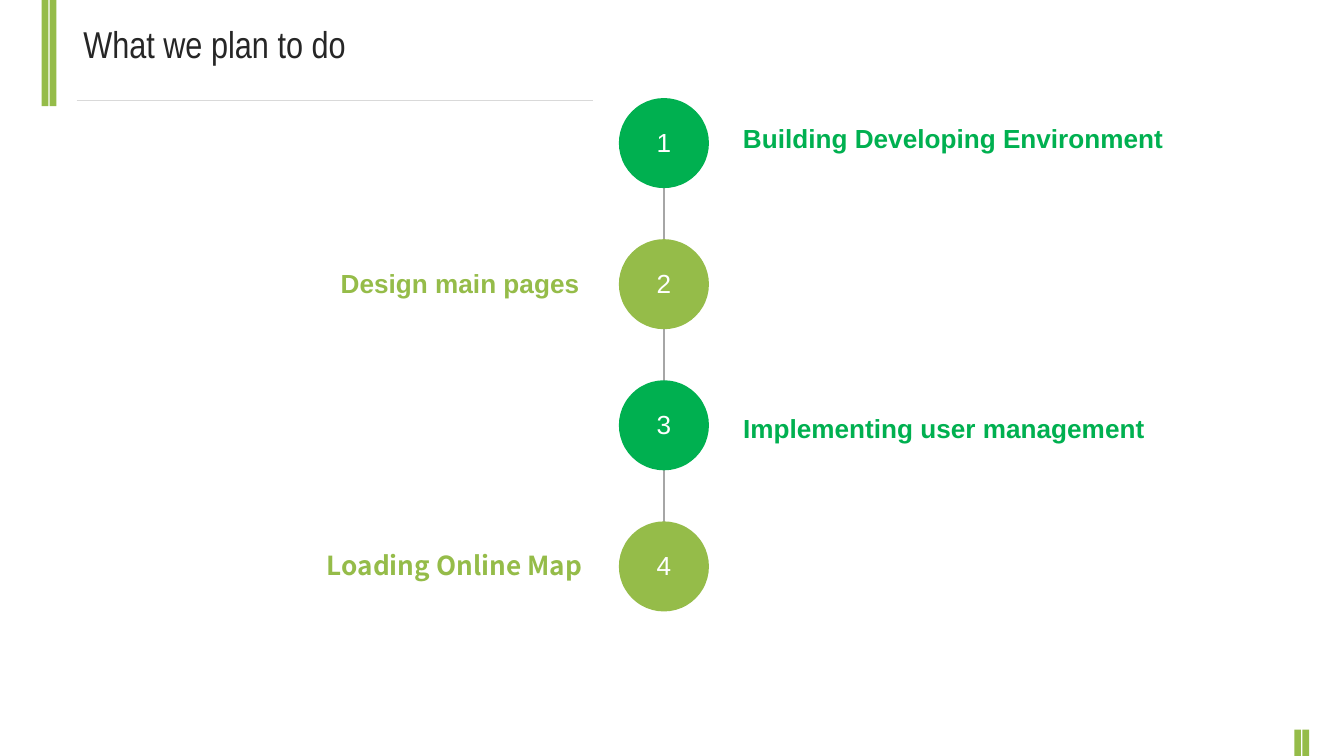
from dataclasses import dataclass

from lxml import etree
from pptx import Presentation
from pptx import util as u
from pptx.dml.color import RGBColor
from pptx.enum import shapes, text
from pptx.oxml import ns

GREEN, LIME, WHITE = "00B050", "95BC49", "FFFFFF"
AXIS, CIRCLE_SIZE = 4.94, 0.67
FIRST_TOP, STEP_GAP = 0.73, 1.05
NUMBER_WIDTH, NUMBER_OFFSET, LABEL_HEIGHT = 0.31, 0.16, 0.34


@dataclass
class Step:
    label: str
    color: str
    left: float
    top: float
    width: float = 3.19
    align: text.PP_ALIGN = text.PP_ALIGN.LEFT
    font: str = "Arial"


STEPS = [
    Step("Building Developing Environment", GREEN, 5.43, 0.86, width=3.93),
    Step("Design main pages", LIME, 1.22, 1.94, align=text.PP_ALIGN.RIGHT),
    Step("Implementing user management", GREEN, 5.43, 3.02),
    Step("Loading Online Map", LIME, 1.24, 4.04, align=text.PP_ALIGN.RIGHT,
         font="Noto Sans CJK SC"),
]


def rgb(color: str) -> RGBColor:
    return RGBColor.from_string(color)


def write(box, words: str, *, color: str, size: float = 14, font: str = "Arial",
          bold: bool = False, align=text.PP_ALIGN.LEFT, wrap: bool = True) -> None:
    frame = box.text_frame
    frame.word_wrap = wrap
    frame.auto_size = text.MSO_AUTO_SIZE.SHAPE_TO_FIT_TEXT
    frame.vertical_anchor = text.MSO_ANCHOR.TOP
    para = frame.paragraphs[0]
    para.alignment = align
    span = para.add_run()
    span.text = words
    span.font.name, span.font.size, span.font.bold = font, u.Pt(size), bold
    span.font.color.rgb = rgb(color)


def add_text(page, words: str, left: float, top: float, width: float,
             **style) -> None:
    box = page.shapes.add_textbox(u.Inches(left), u.Inches(top),
                                  u.Inches(width), u.Inches(LABEL_HEIGHT))
    write(box, words, **style)


def add_solid(page, kind, left: float, top: float, width: float, height: float,
              color: str) -> None:
    shape = page.shapes.add_shape(kind, u.Inches(left), u.Inches(top),
                                  u.Inches(width), u.Inches(height))
    shape.shadow.inherit = False
    shape.fill.solid()
    shape.fill.fore_color.rgb = rgb(color)
    shape.line.fill.background()


def add_line(page, x1: float, y1: float, x2: float, y2: float, color: str) -> None:
    line = page.shapes.add_connector(shapes.MSO_CONNECTOR.STRAIGHT, u.Inches(x1),
                                     u.Inches(y1), u.Inches(x2), u.Inches(y2))
    line.line.color.rgb = rgb(color)
    line.line.width = u.Pt(0.75)
    etree.SubElement(line._element.spPr, ns.qn("a:effectLst"))


def add_marker(page, index: int, color: str) -> None:
    top = FIRST_TOP + index * STEP_GAP
    add_solid(page, shapes.MSO_SHAPE.OVAL, AXIS - CIRCLE_SIZE / 2, top,
              CIRCLE_SIZE, CIRCLE_SIZE, color)
    add_text(page, str(index + 1), AXIS - NUMBER_WIDTH / 2, top + NUMBER_OFFSET,
             NUMBER_WIDTH, color=WHITE, align=text.PP_ALIGN.CENTER, wrap=False)


def main() -> None:
    deck = Presentation()
    deck.slide_width = u.Inches(10)
    deck.slide_height = deck.slide_width * 9 // 16
    page = deck.slides.add_slide(deck.slide_layouts[5])

    # Corner bars and title rule
    for left, top, height in [(0.31, 0, 0.79), (0.37, 0, 0.79),
                              (9.63, 5.43, 0.2), (9.69, 5.43, 0.2)]:
        add_solid(page, shapes.MSO_SHAPE.RECTANGLE, left, top, 0.05, height, LIME)
    add_line(page, 0.57, 0.75, 4.41, 0.75, "D9D9D9")

    # Title
    title = page.shapes.title
    title.left, title.top = u.Inches(0.52), u.Inches(0.11)
    title.width, title.height = u.Inches(4.23), u.Inches(0.44)
    write(title, "What we plan to do", color="262626", size=20, font="Arial Narrow")

    # Timeline with numbered markers
    add_line(page, AXIS, 1.12, AXIS, 4.27, "A6A6A6")
    for index, step in enumerate(STEPS):
        add_marker(page, index, step.color)

    # Step labels
    for step in STEPS:
        add_text(page, step.label, step.left, step.top, step.width, color=step.color,
                 font=step.font, bold=True, align=step.align)

    deck.save("out.pptx")


if __name__ == "__main__":
    main()
